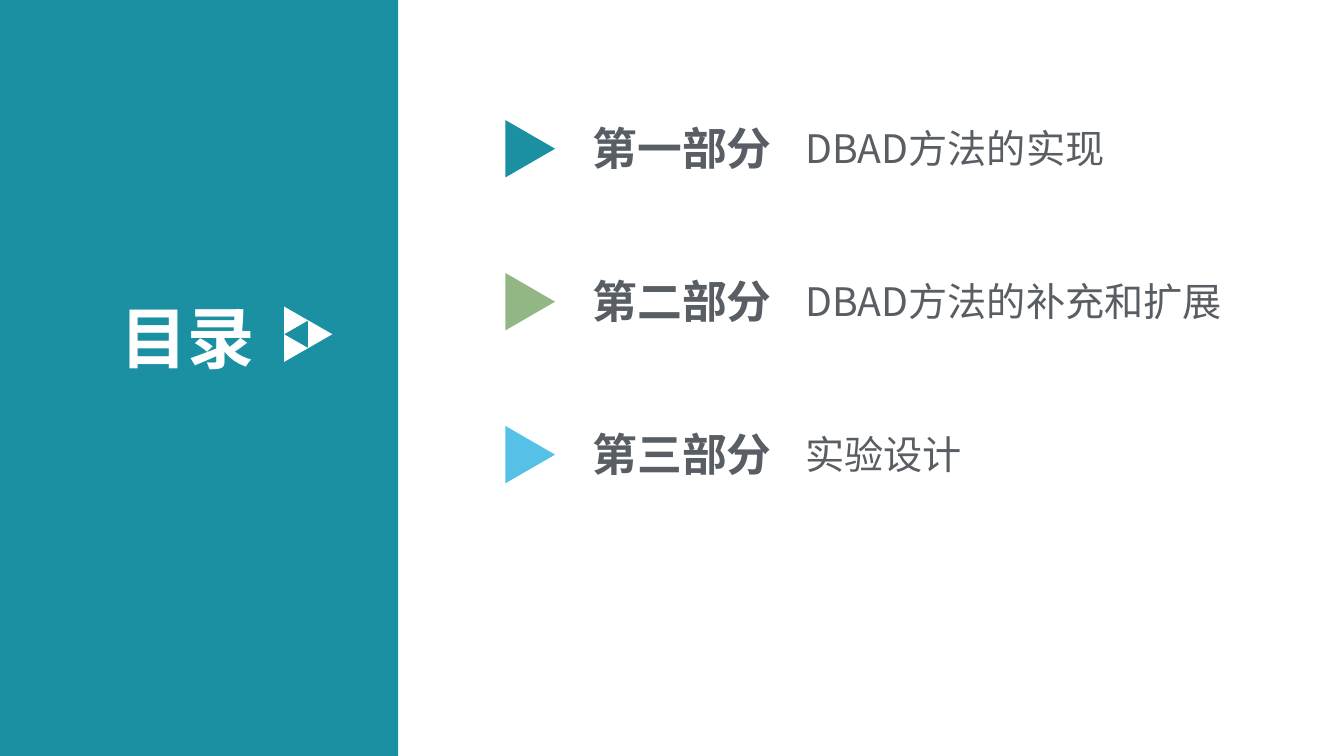
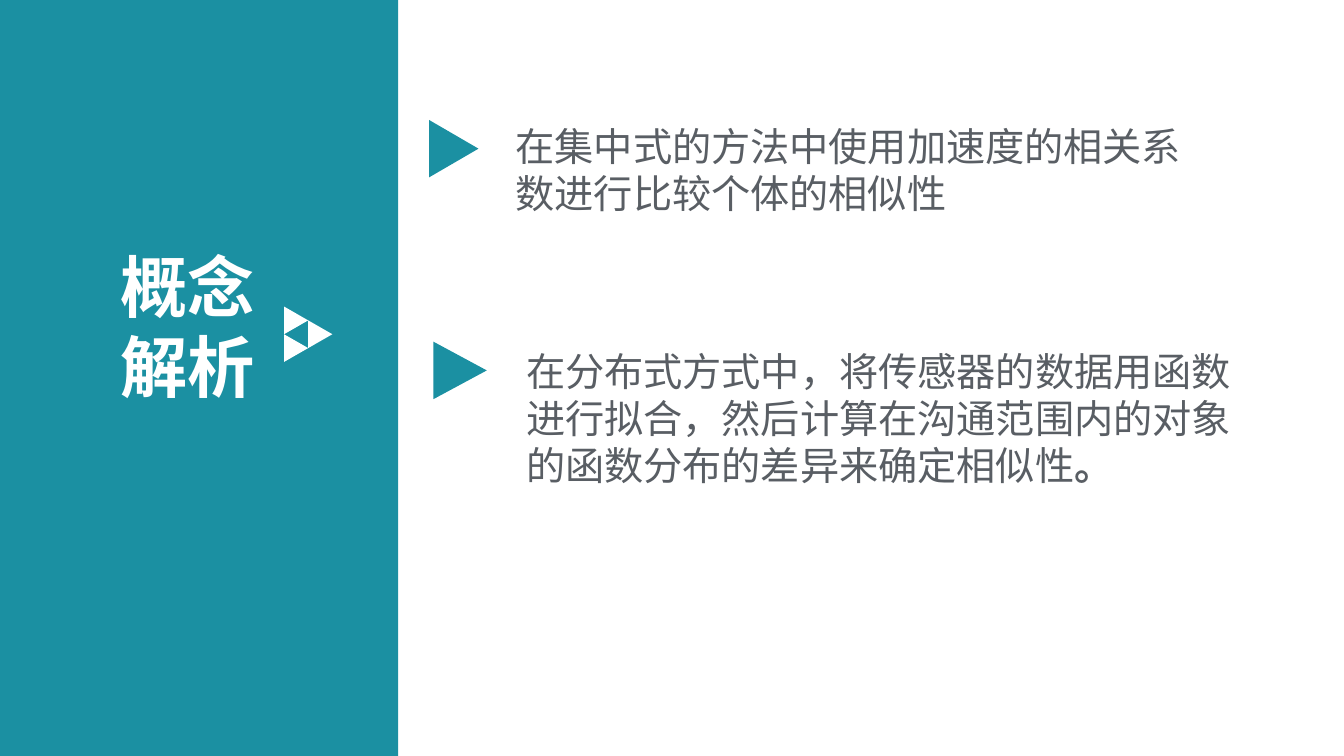
from lxml import etree
from pptx import Presentation
from pptx.dml.color import RGBColor
from pptx.enum.shapes import MSO_SHAPE
from pptx.oxml.ns import qn
from pptx.util import Inches, Pt

RECTANGLE = MSO_SHAPE.RECTANGLE
TRIANGLE = MSO_SHAPE.ISOSCELES_TRIANGLE
WIDTH, HEIGHT = Inches(13.33), Inches(7.5)
COLUMN, ROW = WIDTH / 100, HEIGHT / 100

COLORS = {"teal": "1B90A2", "green": "93B784", "sky": "55C1E7",
          "ink": "595E64", "white": "FFFFFF"}
FONT = "Noto Sans CJK SC"
STYLES = {
    "title": {"size": Pt(48), "bold": True, "color": "white"},
    "label": {"size": Pt(32), "bold": True, "color": "ink"},
    "body": {"size": Pt(28), "bold": False, "color": "ink"},
}
PANEL = (0, 0, 29.62, 100)
EMBLEM = (21.13, 40.55, 3.6, 7.33)
ARROW_HEIGHT = 7.6

SECTIONS = [
    ("第一部分", "DBAD方法的实现", "teal"),
    ("第二部分", "DBAD方法的补充和扩展", "green"),
    ("第三部分", "实验设计", "sky"),
]
POINTS = [
    {"box": (31.92, 15.47, 57.48, 14.27), "arrow_width": 3.68, "drop": 0.4,
     "runs": [("在集中式的方法中使用加速度的相关系数进行比较个体的相似性", False)]},
    {"box": (32.25, 45.33, 62.25, 20.4), "arrow_width": 3.97, "drop": -0.13,
     "runs": [("在分布式方式中，将传感器的数据用函数进行拟合，"
               "然后计算在沟通范围内的对象的函数分布的差异来确定相似性", False),
              ("。", True)]},
]


def to_emu(box):
    """Turn a box in hundredths of the slide into EMU."""
    left, top, width, height = box
    return [round(value) for value in
            (left * COLUMN, top * ROW, width * COLUMN, height * ROW)]


def add_flat(slide, kind, frame, color):
    """Draw a filled shape without line or shadow."""
    shape = slide.shapes.add_shape(kind, *frame)
    shape.shadow.inherit = False
    shape.fill.solid()
    shape.fill.fore_color.rgb = RGBColor.from_string(COLORS[color])
    shape.line.fill.background()
    return shape


def add_arrow(slide, box, color):
    """Draw a triangle that points right and fills the box."""
    left, top, width, height = to_emu(box)
    shift = (width - height) // 2
    arrow = add_flat(slide, TRIANGLE,
                     (left + shift, top - shift, height, width), color)
    arrow.rotation = 90


def add_text(slide, box, runs, style):
    """Write runs of (text, bold) in one wrapped paragraph."""
    frame = slide.shapes.add_textbox(*to_emu(box)).text_frame
    frame.word_wrap = True
    look = STYLES[style]
    for words, bold in runs:
        run = frame.paragraphs[0].add_run()
        run.text = words
        formats = {"name": FONT, "size": look["size"],
                   "bold": bold or look["bold"]}
        for attribute, value in formats.items():
            setattr(run.font, attribute, value)
        run.font.color.rgb = RGBColor.from_string(COLORS[look["color"]])
        east_asian = etree.SubElement(run.font._element, qn("a:ea"))
        east_asian.set("typeface", FONT)


def add_emblem(slide, box):
    """Draw three small triangles that form a larger one."""
    left, top, width, height = box
    for across, down in ((0, 0), (0, 2), (1, 1)):
        add_arrow(slide, (left + across * width / 2, top + down * height / 4,
                          width / 2, height / 2), "white")


def add_base(deck, title, top, height):
    """Start a slide with the title panel on the left."""
    slide = deck.slides.add_slide(deck.slide_layouts[6])
    add_flat(slide, RECTANGLE, to_emu(PANEL), "teal")
    add_text(slide, (8.25, top, 13.05, height), [(title, True)], "title")
    add_emblem(slide, EMBLEM)
    return slide


def add_section(slide, box, label, detail, color):
    """Place an arrow, a part label and its topic in a row."""
    left, top, width, height = box
    add_arrow(slide, (left, top + 0.55, 3.7, ARROW_HEIGHT), color)
    add_text(slide, (left + 5.75, top, 15.83, height), [(label, True)], "label")
    add_text(slide, (left + 21.58, top + 0.45, width - 21.58, height),
             [(detail, False)], "body")


def add_point(slide, box, arrow_width, drop, runs):
    """Place an arrow and the paragraph beside it."""
    left, top, width, height = box
    indent = arrow_width * 1.55
    add_arrow(slide, (left, top + drop, arrow_width, ARROW_HEIGHT), "teal")
    add_text(slide, (left + indent, top, width - indent, height), runs, "body")


def build_contents(deck):
    """Build the contents slide."""
    slide = add_base(deck, "目录", 38.53, 12.13)
    for index, section in enumerate(SECTIONS):
        add_section(slide, (37.6, 15.33 + index * 20.23, 58.4, 8.5), *section)


def build_concepts(deck):
    """Build the slide that explains the concepts."""
    slide = add_base(deck, "概念解析", 31.73, 23.47)
    for point in POINTS:
        add_point(slide, **point)


def main():
    """Build and save the deck."""
    deck = Presentation()
    deck.slide_width, deck.slide_height = WIDTH, HEIGHT
    build_contents(deck)
    build_concepts(deck)
    deck.save("out.pptx")


if __name__ == "__main__":
    main()
